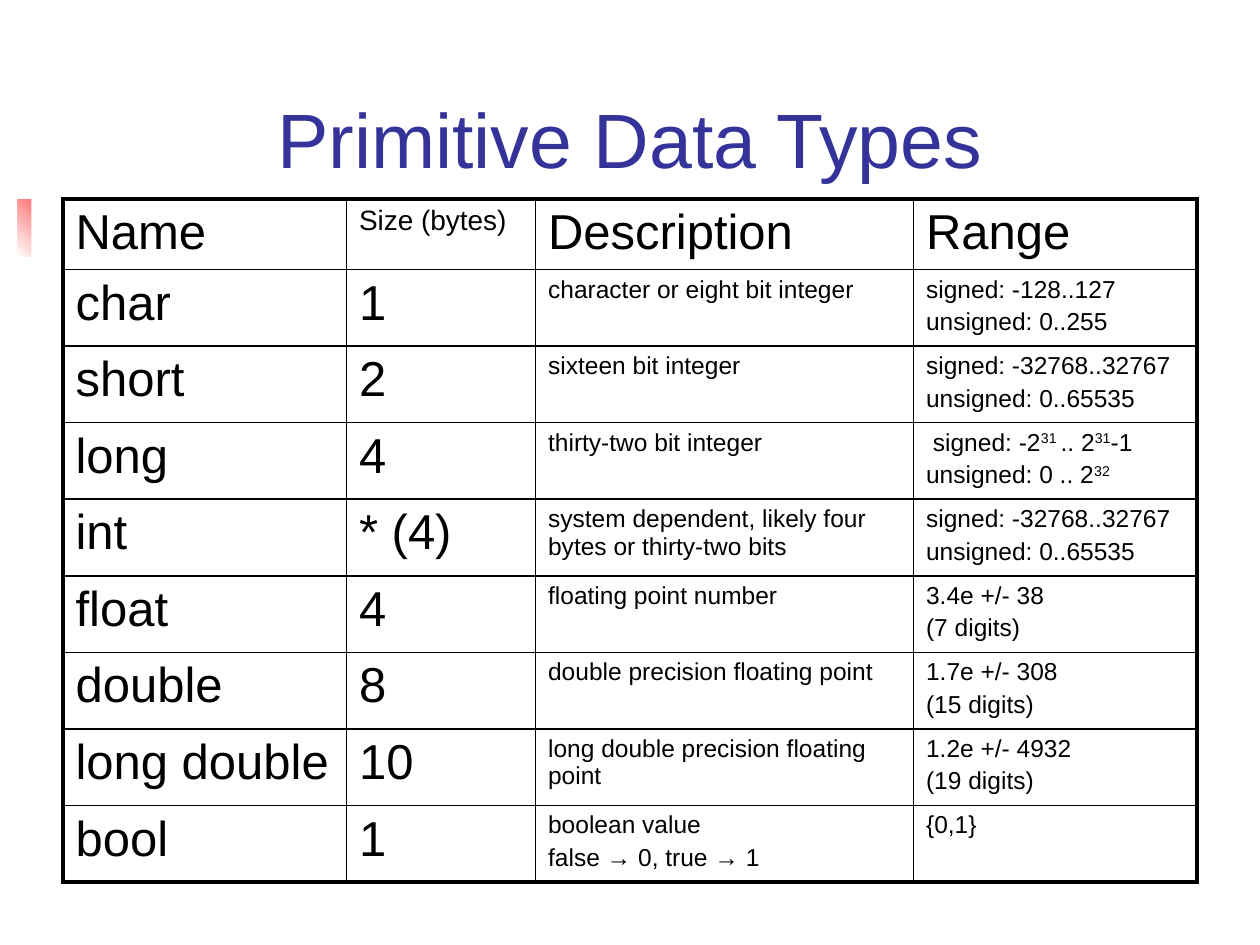
"""Build a slide with a table of primitive data types."""
from lxml import etree
from pptx import Presentation
from pptx.dml.color import RGBColor
from pptx.enum.shapes import MSO_SHAPE
from pptx.enum.text import MSO_ANCHOR, PP_ALIGN
from pptx.oxml.ns import qn
from pptx.util import Inches, Pt

RECT = MSO_SHAPE.RECTANGLE
MIDDLE, TOP = MSO_ANCHOR.MIDDLE, MSO_ANCHOR.TOP
CENTER, LEFT = PP_ALIGN.CENTER, PP_ALIGN.LEFT
FONT = "Arial"
COLORS = {"title": "333399", "text": "000000", "border": "000000",
          "panel": "FFFFFF", "accent": "FF0000"}
COL_WIDTHS = [2.25, 1.5, 3, 2.25]
HEADER_SIZES = [28, 16, 28, 28]
BODY_SIZES = [28, 28, 14, 14]
TABLE_LEFT, TABLE_TOP, TABLE_HEIGHT = 0.5, 1.58, 5.42
HEADER_HEIGHT = 0.56
THIN, THICK = 1, 2.25
ROWS = [
    ["Name", "Size (bytes)", "Description", "Range"],
    ["char", "1", "character or eight bit integer",
     "signed: -128..127 \nunsigned: 0..255"],
    ["short", "2", "sixteen bit integer",
     "signed: -32768..32767 \nunsigned: 0..65535"],
    ["long", "4", "thirty-two bit integer",
     " signed: -2^31 ^.. 2^31^-1 \nunsigned: 0 .. 2^32^"],
    ["int", "* (4)", "system dependent, likely four bytes or thirty-two bits",
     "signed: -32768..32767 \nunsigned: 0..65535"],
    ["float", "4", "floating point number", "3.4e +/- 38 \n(7 digits) "],
    ["double", "8", "double precision floating point",
     "1.7e +/- 308 \n(15 digits)"],
    ["long double", "10", "long double precision floating point",
     "1.2e +/- 4932 \n(19 digits)"],
    ["bool", "1", "boolean value \nfalse → 0, true → 1", "{0,1}"],
]


def rgb(name):
    """Return the named colour."""
    return RGBColor.from_string(COLORS[name])


def write(tf, text, size, color="text", align=LEFT, before=0.0):
    """Write lines of text, with superscripts between carets."""
    for i, line in enumerate(text.split("\n")):
        p = tf.add_paragraph() if i else tf.paragraphs[0]
        p.alignment = align
        p.space_before = Pt(round(size * before, 1))
        for j, part in enumerate(line.split("^")):
            if not part:
                continue
            r = p.add_run()
            r.text = part
            r.font.name = FONT
            r.font.size = Pt(size)
            r.font.color.rgb = rgb(color)
            if j % 2:
                r.font._element.set("baseline", "30000")


def add_rect(s, x, y, w, h):
    """Add a rectangle without line or shadow."""
    sp = s.shapes.add_shape(RECT, Inches(x), Inches(y), Inches(w), Inches(h))
    sp.shadow.inherit = False
    sp.line.fill.background()
    return sp


def add_backdrop(s):
    """Add the gradient accent and the white panel over it."""
    accent = add_rect(s, 0.14, 1.58, 0.61, 0.46)
    accent.fill.gradient()
    accent.fill.gradient_angle = 45
    for stop, name in zip(accent.fill.gradient_stops, ("panel", "accent")):
        stop.color.rgb = rgb(name)
    panel = add_rect(s, 0.25, 0.25, 9.17, 7.17)
    panel.fill.solid()
    panel.fill.fore_color.rgb = rgb("panel")


def set_title(s, text):
    """Place and format the title in front of the backdrop."""
    sp = s.shapes.title
    sp.left, sp.top = Inches(0.5), Inches(0.47)
    sp.width, sp.height = Inches(9), Inches(1.25)
    s.shapes.element.append(sp.element)
    tf = sp.text_frame
    tf.word_wrap = True
    tf.vertical_anchor = MIDDLE
    write(tf, text, 44, color="title", align=CENTER)


def set_borders(cell, widths):
    """Draw the left, right, top and bottom borders of a cell."""
    tc_pr = cell._tc.get_or_add_tcPr()
    for i, (side, width) in enumerate(zip("LRTB", widths)):
        ln = etree.Element(qn(f"a:ln{side}"), w=str(Pt(width)))
        fill = etree.SubElement(ln, qn("a:solidFill"))
        etree.SubElement(fill, qn("a:srgbClr"), val=COLORS["border"])
        tc_pr.insert(i, ln)


def add_types_table(s):
    """Add the table with a thick outline and thin inner lines."""
    n_rows, n_cols = len(ROWS), len(COL_WIDTHS)
    table = s.shapes.add_table(
        n_rows, n_cols, Inches(TABLE_LEFT), Inches(TABLE_TOP),
        Inches(sum(COL_WIDTHS)), Inches(TABLE_HEIGHT)).table
    table.first_row = table.horz_banding = False
    for col, width in zip(table.columns, COL_WIDTHS):
        col.width = Inches(width)
    body_height = (TABLE_HEIGHT - HEADER_HEIGHT) / (n_rows - 1)
    for i, texts in enumerate(ROWS):
        table.rows[i].height = Inches(body_height if i else HEADER_HEIGHT)
        sizes = BODY_SIZES if i else HEADER_SIZES
        for j, (text, size) in enumerate(zip(texts, sizes)):
            cell = table.cell(i, j)
            cell.fill.background()
            cell.vertical_anchor = TOP
            write(cell.text_frame, text, size, before=0.2)
            edges = (j == 0, j == n_cols - 1, i == 0, i == n_rows - 1)
            set_borders(cell, [THICK if edge else THIN for edge in edges])


def main():
    """Build and save the slide."""
    prs = Presentation()
    prs.slide_width, prs.slide_height = Inches(10), Inches(7.5)
    s = prs.slides.add_slide(prs.slide_layouts[5])
    add_backdrop(s)
    set_title(s, "Primitive Data Types")
    add_types_table(s)
    prs.save("out.pptx")


main()
